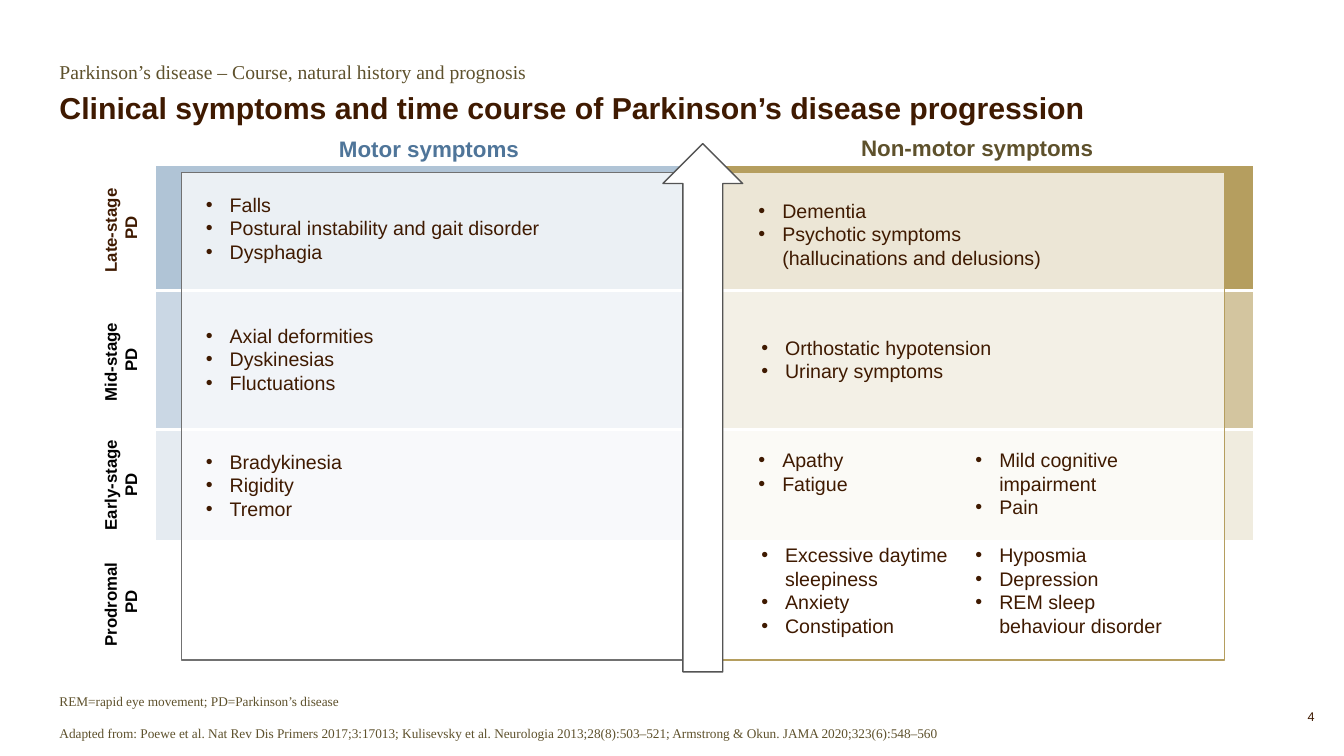
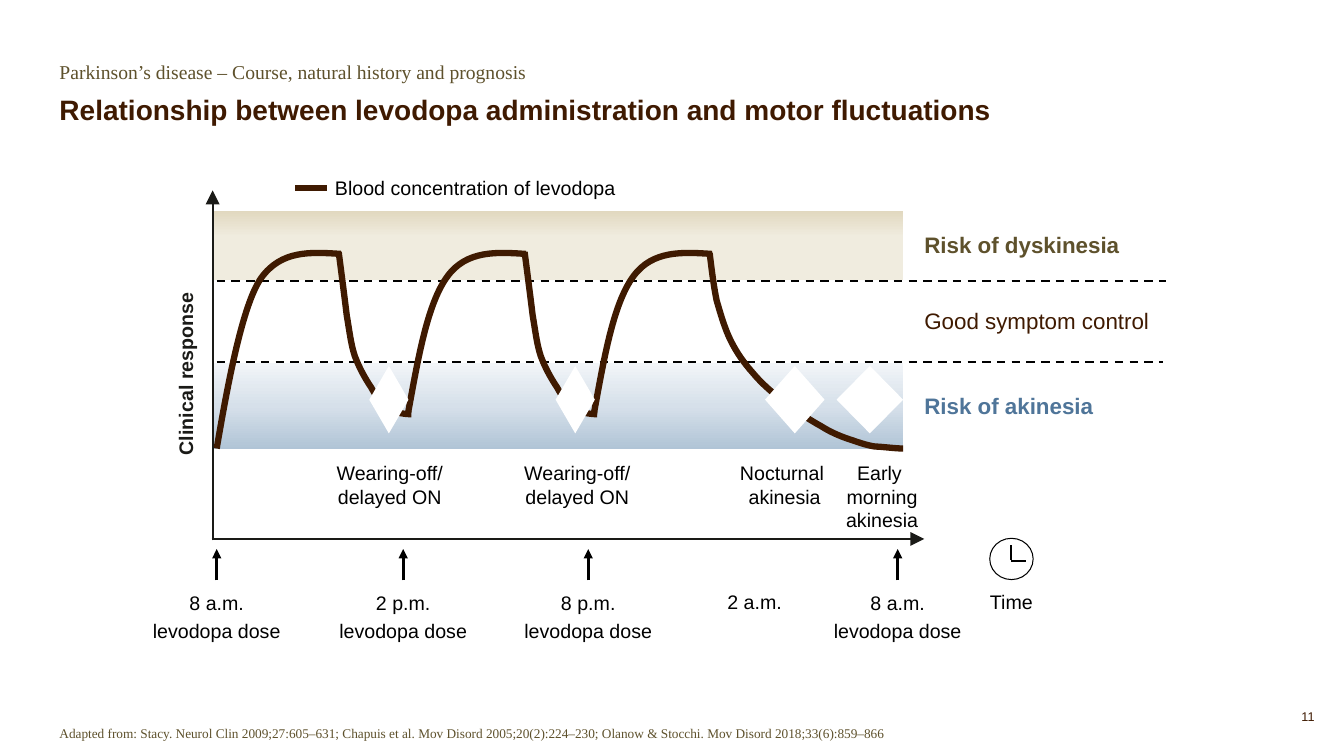
"""Build two slides on the course of Parkinson’s disease."""
from dataclasses import dataclass
from typing import NamedTuple

from lxml import etree
from pptx import Presentation
from pptx import util as u
from pptx.dml import color
from pptx.enum import dml, shapes, text
from pptx.oxml import ns, parse_xml

KIND = shapes.MSO_SHAPE
ALIGN = text.PP_ALIGN
ANCHOR = text.MSO_ANCHOR


@dataclass(frozen=True)
class Theme:
    """Colours, fonts and type sizes."""
    sans: str = "Arial"
    serif: str = "Times New Roman"
    brown: str = "3F1A01"
    olive: str = "5E512C"
    blue: str = "4F7599"
    gold: str = "B59E5F"
    grey: str = "717171"
    arrow: str = "545454"
    axis: str = "1A1A17"
    black: str = "000000"
    white: str = "FFFFFF"
    motor: tuple[str, ...] = ("B0C4D6", "CAD7E4", "E5EBF1", "FFFFFF")
    nonmotor: tuple[str, ...] = ("B59E5F", "D3C59F", "F0ECDF", "FFFFFF")
    akinesia: tuple[tuple[int, str], ...] = ((0, "B0C4D6"), (50, "D6E0EA"), (100, "F2F5F8"))
    dyskinesia: tuple[tuple[int, str], ...] = ((0, "F0ECDF"), (62, "F0ECDF"), (100, "E1D8BF"))
    heading: float = 16
    body: float = 14
    stage: float = 12
    source: float = 9.5
    number: float = 9


T = Theme()


class Box(NamedTuple):
    """A rectangle in points."""
    x: float
    y: float
    w: float
    h: float


class Stage(NamedTuple):
    """A disease stage with its band and label centre."""
    label: str
    top: float
    height: float
    middle: float


class Bullets(NamedTuple):
    """A bulleted list in its box."""
    box: Box
    anchor: ANCHOR
    items: tuple[str, ...]


class Label(NamedTuple):
    """Centred text under a point on the time axis."""
    x: float
    y: float
    lines: tuple[str, ...]


class Risk(NamedTuple):
    """A zone label beside the diagram."""
    middle: float
    label: str
    color: str
    bold: bool


class Curve(NamedTuple):
    """Chained Bezier points and a shift to the right."""
    points: tuple[tuple[float, float], ...]
    shift: float = 0


STAGES = (
    Stage("Late-stage \nPD", 117.6, 99.4, 163),
    Stage("Mid-stage \nPD", 207.4, 99.4, 257),
    Stage("Early-stage PD", 297.2, 99.4, 346.4),
    Stage("Prodromal \nPD", 387, 92, 430),
)
LAYERS = (0, 2, 1, 3)
SYMPTOMS = (
    Bullets(Box(147, 132.7, 320, 60), ANCHOR.MIDDLE,
            ("Falls", "Postural instability and gait disorder", "Dysphagia")),
    Bullets(Box(147, 226.4, 320, 60), ANCHOR.MIDDLE,
            ("Axial deformities", "Dyskinesias", "Fluctuations")),
    Bullets(Box(147, 316.4, 320, 60), ANCHOR.MIDDLE, ("Bradykinesia", "Rigidity", "Tremor")),
    Bullets(Box(541.8, 137.1, 310, 60), ANCHOR.MIDDLE,
            ("Dementia", "Psychotic symptoms \n(hallucinations and delusions)")),
    Bullets(Box(543.8, 226.4, 310, 60), ANCHOR.MIDDLE,
            ("Orthostatic hypotension", "Urinary symptoms")),
    Bullets(Box(541.8, 320.2, 150, 52), ANCHOR.TOP, ("Apathy", "Fatigue")),
    Bullets(Box(696.8, 320.2, 150, 52), ANCHOR.TOP, ("Mild cognitive impairment", "Pain")),
    Bullets(Box(543.8, 387.8, 150, 68), ANCHOR.TOP,
            ("Excessive daytime sleepiness", "Anxiety", "Constipation")),
    Bullets(Box(696.8, 387.8, 150, 68), ANCHOR.TOP,
            ("Hyposmia", "Depression", "REM sleep \nbehaviour disorder")),
)

DOSE = "levodopa dose"
DOSES = (
    Label(154.8, 422.3, ("8 a.m.", DOSE)),
    Label(288, 422.3, ("2 p.m.", DOSE)),
    Label(420.2, 422.3, ("8 p.m.", DOSE)),
    Label(641.2, 422.3, ("8 a.m.", DOSE)),
)
EVENTS = (
    Label(278.4, 329.3, ("Wearing-off/\ndelayed ON",)),
    Label(412.4, 329.3, ("Wearing-off/\ndelayed ON",)),
    Label(560.5, 329.3, ("Nocturnal \nakinesia",)),
    Label(630.1, 329.3, ("Early \nmorning\nakinesia",)),
)
TIMES = (Label(539, 421.4, ("2 a.m.",)), Label(722.4, 421.4, ("Time",)))
RISKS = (
    Risk(174.8, "Risk of dyskinesia", T.olive, True),
    Risk(229, "Good symptom control", T.brown, False),
    Risk(290, "Risk of akinesia", T.blue, True),
)
FIRST_RISE = ((154.8, 320.4), (162, 278.6), (172.8, 218.2), (186.5, 198.7),
              (200.9, 178.6), (221.8, 180), (243.4, 181.4))
RISE = ((291.6, 294.5), (298.8, 255.6), (305.3, 216.7), (319.7, 197.3),
        (333.4, 178.6), (355, 180), (375.8, 181.4))
FALL = ((241.9, 180), (244.1, 196.6), (246.2, 213.1), (247.7, 225.4),
        (249.8, 237.6), (250.6, 245.5), (253.4, 254.2),
        (256.3, 262.1), (260.6, 270), (265, 276.5),
        (268.6, 283), (272.2, 288.7), (277.2, 291.6),
        (281.5, 295.2), (290.9, 295.9), (293.8, 295.9))
LAST_FALL = ((506.9, 180.7), (508.3, 192.2), (509.8, 204.5), (511.9, 214.6),
             (514.8, 224.6), (517.7, 234.7), (522, 243.4),
             (526.3, 252), (531.4, 259.2), (537.8, 266.4),
             (544.3, 274.3), (552.2, 280.8), (560.2, 287.3),
             (568.8, 293.8), (578.9, 300.2), (586.8, 304.6),
             (594.7, 309.6), (602.6, 312.5), (609.1, 314.6),
             (615.6, 316.8), (619.9, 318.2), (625, 319),
             (629.3, 319), (639.4, 320.4), (645.1, 320.4))
CYCLE = 132.8
CURVES = (Curve(FIRST_RISE), Curve(RISE), Curve(FALL), Curve(FALL, CYCLE),
          Curve(LAST_FALL), Curve(RISE, CYCLE))
DIAMONDS = ((263.8, 28), (396.9, 28), (546.5, 42.5), (597.6, 47.5))


def rgb(value: str) -> color.RGBColor:
    return color.RGBColor.from_string(value)


def place(box: Box) -> list[u.Length]:
    return [u.Pt(v) for v in box]


def add_text(s, box: Box, *lines: str, size: float = T.body, ink: str = T.black,
             font: str = T.sans, bold: bool = False, align: ALIGN = ALIGN.LEFT,
             anchor: ANCHOR = ANCHOR.MIDDLE, wrap: bool = True, turn: float = 0,
             bullet: bool = False, gap: float = 0, leading: float = 1) -> None:
    sp = s.shapes.add_textbox(*place(box))
    sp.rotation = turn
    tf = sp.text_frame
    tf.word_wrap, tf.vertical_anchor = wrap, anchor
    tf.margin_left = tf.margin_right = tf.margin_top = tf.margin_bottom = 0
    for i, line in enumerate(lines):
        p = tf.add_paragraph() if i else tf.paragraphs[0]
        p.text, p.alignment, p.line_spacing = line, align, leading
        if i and gap:
            p.space_before = u.Pt(gap)
        if bullet:
            pr = p._p.get_or_add_pPr()
            pr.set("marL", str(u.Pt(17)))
            pr.set("indent", str(-u.Pt(17)))
            etree.SubElement(pr, ns.qn("a:buFont"), typeface=font)
            etree.SubElement(pr, ns.qn("a:buChar"), char="•")
        for r in p.runs:
            r.font.name, r.font.size, r.font.bold = font, u.Pt(size), bold
            r.font.color.rgb = rgb(ink)


def add_shape(s, kind: KIND, box: Box, fill: str = T.white, line: str | None = None,
              width: float = 1):
    sp = s.shapes.add_shape(kind, *place(box))
    sp.shadow.inherit = False
    sp.fill.solid()
    sp.fill.fore_color.rgb = rgb(fill)
    if line:
        sp.line.color.rgb, sp.line.width = rgb(line), u.Pt(width)
    else:
        sp.line.fill.background()
    return sp


def add_panel(s, box: Box, line: str) -> None:
    sp = add_shape(s, KIND.RECTANGLE, box, line=line)
    clr = sp.element.spPr.find(ns.qn("a:solidFill"))[0]
    etree.SubElement(clr, ns.qn("a:alpha"), val="75000")


def add_gradient(s, box: Box, stops: tuple[tuple[int, str], ...]) -> None:
    sp = add_shape(s, KIND.RECTANGLE, box)
    gs = "".join(f'<a:gs pos="{pos * 1000}"><a:srgbClr val="{c}"/></a:gs>' for pos, c in stops)
    grad = parse_xml(f'<a:gradFill {ns.nsdecls("a")} rotWithShape="1"><a:gsLst>{gs}</a:gsLst>'
                     '<a:lin ang="16200000" scaled="0"/></a:gradFill>')
    pr = sp.element.spPr
    pr.replace(pr.find(ns.qn("a:solidFill")), grad)


def add_line(s, x1: float, y1: float, x2: float, y2: float, ink: str = T.black,
             width: float = 1.5, dash: bool = False, head: str | None = None) -> None:
    sp = s.shapes.add_connector(shapes.MSO_CONNECTOR.STRAIGHT,
                                *(u.Pt(v) for v in (x1, y1, x2, y2)))
    sp.line.color.rgb, sp.line.width = rgb(ink), u.Pt(width)
    if dash:
        sp.line.dash_style = dml.MSO_LINE.DASH
    if head:
        etree.SubElement(sp.line._get_or_add_ln(), ns.qn("a:tailEnd"),
                         type="triangle", w=head, len=head)
    etree.SubElement(sp._element.spPr, ns.qn("a:effectLst"))


def add_curve(s, curve: Curve) -> None:
    start, *rest = [(u.Pt(x + curve.shift), u.Pt(y)) for x, y in curve.points]
    builder = s.shapes.build_freeform(*start)
    builder.add_line_segments(rest, close=False)
    sp = builder.convert_to_shape()
    outline = next(sp.element.iter(ns.qn("a:path")))
    segments = outline.findall(ns.qn("a:lnTo"))
    for i in range(0, len(segments), 3):
        bezier = etree.SubElement(outline, ns.qn("a:cubicBezTo"))
        for segment in segments[i:i + 3]:
            bezier.append(segment[0])
            outline.remove(segment)
    sp.shadow.inherit = False
    sp.fill.background()
    sp.line.color.rgb, sp.line.width = rgb(T.brown), u.Pt(4.5)


def add_label(s, label: Label) -> None:
    add_text(s, Box(label.x - 55, label.y, 110, 40), *label.lines, align=ALIGN.CENTER,
             anchor=ANCHOR.TOP, wrap=False, gap=3.2)


def add_frame(prs, title: str, size: float, bottom: float, number: int, *notes: str):
    s = prs.slides.add_slide(prs.slide_layouts[6])
    add_text(s, Box(42.5, 42.5, 726, 21), "Parkinson’s disease – Course, natural history and prognosis",
             ink=T.olive, font=T.serif, anchor=ANCHOR.TOP)
    add_text(s, Box(42.5, bottom - 26, 790, 26), title, size=size, ink=T.brown, bold=True,
             anchor=ANCHOR.BOTTOM, leading=0.9)
    add_text(s, Box(42.5, 480.4, 726, 49), *notes, size=T.source, ink=T.olive, font=T.serif,
             anchor=ANCHOR.BOTTOM, gap=11.3)
    add_text(s, Box(892, 506.4, 47, 12), str(number), size=T.number, ink=T.brown,
             align=ALIGN.RIGHT, anchor=ANCHOR.TOP)
    return s


def build_symptoms(prs) -> None:
    s = add_frame(prs, "Clinical symptoms and time course of Parkinson’s disease progression",
                  21.6, 90, 4, "REM=rapid eye movement; PD=Parkinson’s disease",
                  "Adapted from: Poewe et al. Nat Rev Dis Primers 2017;3:17013; Kulisevsky et al. "
                  "Neurologia 2013;28(8):503–521; Armstrong & Okun. JAMA 2020;323(6):548–560")
    for x, w, fills in ((509, 387.4, T.nonmotor), (110.5, 396.7, T.motor)):
        for i in LAYERS:
            add_shape(s, KIND.RECTANGLE, Box(x, STAGES[i].top, w, STAGES[i].height),
                      fills[i], T.white, 2)
    for x, line in ((129.6, T.grey), (506.9, T.gold)):
        add_panel(s, Box(x, 123.4, 368, 348.2), line)
    for i, stage in enumerate(STAGES):
        add_text(s, Box(46, stage.middle - 18, 80, 36), stage.label, size=T.stage, bold=True,
                 ink=T.black if i else T.brown, align=ALIGN.CENTER, turn=270)
    add_shape(s, KIND.UP_ARROW, Box(473.5, 102.6, 57, 377.3), line=T.arrow)
    for x, y, label, ink in ((110.2, 92.4, "Motor symptoms", T.blue),
                             (501.8, 91.7, "Non-motor symptoms", T.olive)):
        add_text(s, Box(x, y, 392.4, 27), label, size=T.heading, ink=ink, bold=True,
                 align=ALIGN.CENTER)
    for group in SYMPTOMS:
        add_text(s, group.box, *group.items, ink=T.brown, anchor=group.anchor, bullet=True)


def build_fluctuations(prs) -> None:
    s = add_frame(prs, "Relationship between levodopa administration and motor fluctuations",
                  20, 90.5, 11, "Adapted from: Stacy. Neurol Clin 2009;27:605–631; Chapuis et al. Mov "
                  "Disord 2005;20(2):224–230; Olanow & Stocchi. Mov Disord 2018;33(6):859–866")
    add_gradient(s, Box(152.6, 259.2, 492.5, 61.6), T.akinesia)
    add_gradient(s, Box(152.6, 150.5, 492.5, 49.7), T.dyskinesia)
    for y, end in ((258.6, 831), (200.8, 833)):
        add_line(s, 154.8, y, end, y, dash=True)
    for curve in CURVES:
        add_curve(s, curve)
    for x, w in DIAMONDS:
        add_shape(s, KIND.DIAMOND, Box(x, 261.4, w, 48.2))
    for label in EVENTS + DOSES + TIMES:
        add_label(s, label)
    for dose in DOSES:
        add_line(s, dose.x, 414.6, dose.x, 392.2, width=2.25, head="med")
    add_line(s, 151.2, 385, 660.2, 385, T.axis, head="lg")
    add_line(s, 151.9, 386, 151.9, 136, T.axis, head="lg")
    add_text(s, Box(62.4, 255, 140, 24), "Clinical response", ink=T.axis, bold=True,
             align=ALIGN.CENTER, wrap=False, turn=270)
    add_line(s, 211, 134.2, 233.3, 134.2, T.brown, 4.5)
    add_text(s, Box(239.3, 122, 210, 24), "Blood concentration of levodopa", wrap=False)
    for risk in RISKS:
        add_text(s, Box(660.3, risk.middle - 13, 180, 26), risk.label, size=T.heading,
                 ink=risk.color, bold=risk.bold, wrap=False)
    add_shape(s, KIND.OVAL, Box(707, 384.5, 31, 29.5), line=T.black, width=0.75)
    add_line(s, 722.2, 389.5, 722.2, 400.3)
    add_line(s, 722.2, 401, 733, 401)


def main() -> None:
    prs = Presentation()
    prs.slide_width, prs.slide_height = u.Pt(960), u.Pt(540)
    build_symptoms(prs)
    build_fluctuations(prs)
    prs.save("out.pptx")


if __name__ == "__main__":
    main()
